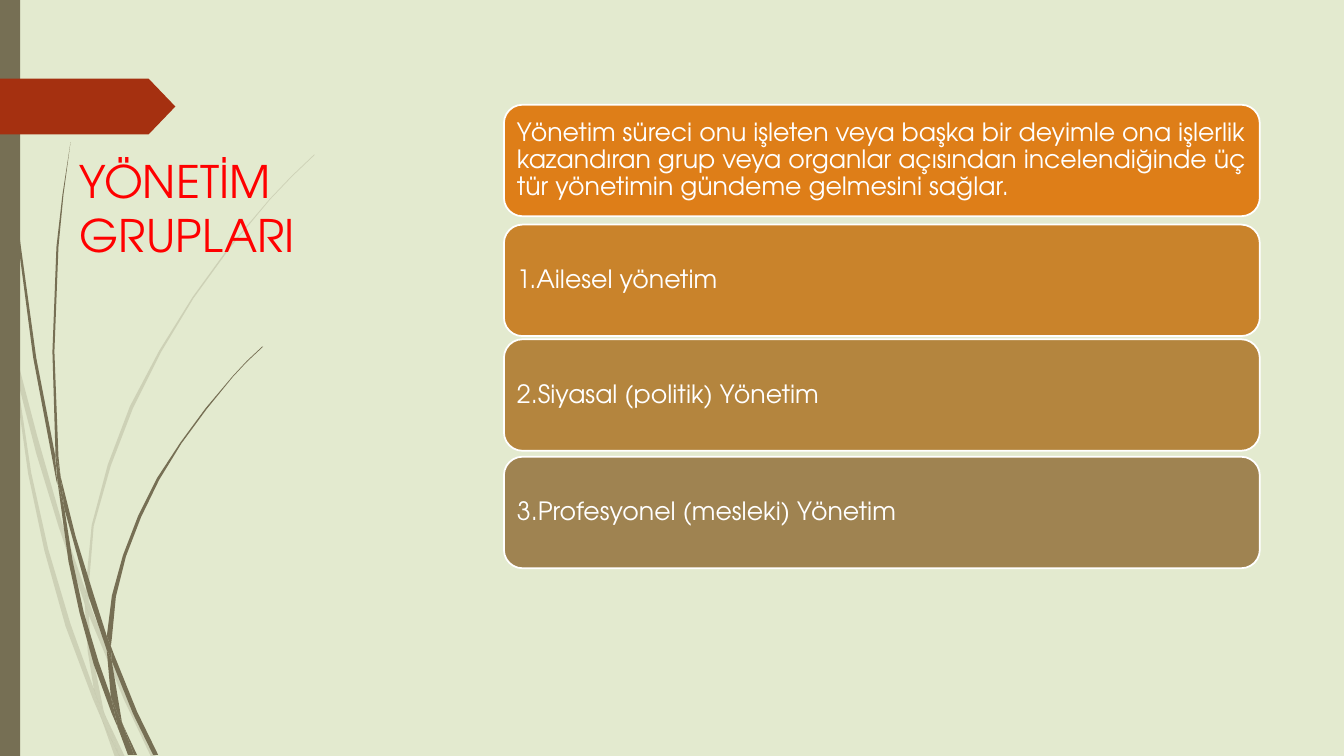
"""Build the slide on management groups: a heading, four cards and a grass motif."""
from lxml.etree import SubElement
from pptx import Presentation
from pptx.dml.color import RGBColor
from pptx.enum.shapes import MSO_SHAPE as Shape
from pptx.enum.text import MSO_ANCHOR as Anchor, PP_ALIGN as Align
from pptx.oxml.ns import qn
from pptx.util import Cm, Pt

FONT = "TeX Gyre Adventor"
OLIVE = "766F54"
WHITE = "FFFFFF"
GRASS_UNIT = Cm(0.0254)


def paint(target, color):
    """Give a fill, or the fill of a font, one solid colour."""
    target.solid()
    target.fore_color.rgb = RGBColor.from_string(color)


presentation = Presentation()
presentation.slide_width = Cm(33.87)
presentation.slide_height = Cm(19.05)
slide = presentation.slides.add_slide(presentation.slide_layouts[5])
paint(slide.background.fill, "E3EACF")

faint_blades = [
    [(11, 350), (9, 322), (0, 282), (0, 299), (10, 344)],
    [(58, 522), (84, 599), (85, 586), (62, 520), (37, 433), (14, 345), (17, 376), (36, 450)],
    [(92, 607), (88, 596), (88, 610), (123, 694), (150, 751), (155, 751), (127, 692)],
    [(119, 751), (124, 751), (105, 711)],
    [(93, 683), (70, 619), (48, 545), (31, 469), (17, 376), (11, 350), (28, 470), (44, 546),
     (65, 621), (92, 693), (101, 714), (99, 707)],
    [(84, 599), (87, 646), (93, 683), (96, 692), (105, 711), (103, 706), (91, 646), (88, 610),
     (88, 608)],
    [(88, 584), (93, 522), (110, 462), (132, 405), (160, 349), (192, 296), (229, 245), (268, 198),
     (290, 175), (312, 154), (312, 153), (289, 175), (268, 197), (228, 244), (191, 295),
     (158, 348), (129, 403), (107, 461), (91, 521), (85, 584), (85, 586), (88, 596)],
    [(101, 714), (114, 751), (119, 751)],
    [(88, 608), (88, 610), (88, 596), (85, 586), (84, 599)],
    [(96, 692), (93, 683), (99, 707), (101, 714), (119, 751), (105, 711)],
]
strong_blades = [
    [(7, 110), (17, 233), (33, 355), (56, 477), (57, 481), (55, 457), (55, 453), (36, 355),
     (19, 232), (8, 109), (5, 48), (4, 0), (3, 0), (4, 48)],
    [(88, 592), (106, 645), (106, 633), (106, 631), (93, 590), (75, 532), (60, 472), (64, 505)],
    [(113, 649), (110, 641), (111, 656), (132, 708), (152, 749), (157, 749), (136, 706)],
    [(110, 691), (98, 657), (83, 607), (72, 556), (64, 505), (57, 477), (68, 557), (79, 608),
     (93, 659), (111, 708), (117, 722), (116, 717)],
    [(60, 472), (58, 453), (54, 349), (58, 245), (63, 193), (70, 141), (62, 193), (56, 245),
     (52, 349), (55, 449)],
    [(133, 749), (136, 749), (122, 719)],
    [(57, 477), (64, 505), (60, 472), (55, 449), (55, 453)],
    [(111, 633), (115, 592), (125, 552), (140, 513), (158, 476), (180, 440), (205, 406),
     (231, 374), (245, 359), (261, 344), (260, 344), (245, 358), (231, 373), (204, 405),
     (179, 439), (156, 474), (137, 512), (122, 551), (111, 591), (106, 631), (110, 641)],
    [(117, 722), (127, 749), (131, 749)],
    [(106, 645), (110, 691), (116, 706), (122, 719), (121, 716), (111, 656), (109, 651)],
    [(106, 645), (109, 651), (111, 656), (110, 641), (106, 631), (106, 633)],
    [(116, 706), (110, 691), (116, 717), (117, 722), (130, 749), (133, 749), (122, 719)],
]
for blades, opacity in ((faint_blades, 20), (strong_blades, 100)):
    for outline in blades:
        builder = slide.shapes.build_freeform(*outline[0], scale=GRASS_UNIT)
        builder.add_line_segments(outline[1:], close=True)
        blade = builder.convert_to_shape()
        blade.shadow.inherit = False
        blade.line.fill.background()
        paint(blade.fill, OLIVE)
        if opacity < 100:
            color_element = blade.element.spPr.find(qn("a:solidFill"))[0]
            SubElement(color_element, qn("a:alpha"), val=str(opacity * 1000))

side_bar = slide.shapes.add_shape(Shape.RECTANGLE, 0, 0, Cm(0.51), Cm(19.05))
arrow_tab = slide.shapes.add_shape(Shape.PENTAGON, 0, Cm(1.98), Cm(4.42), Cm(1.41))
arrow_tab.adjustments[0] = 0.48
for shape, color in ((side_bar, OLIVE), (arrow_tab, "A53010")):
    shape.shadow.inherit = False
    paint(shape.fill, color)
    shape.line.fill.background()

title = slide.shapes.title
title.element.getparent().append(title.element)
title.left, title.top, title.width, title.height = Cm(1.75), Cm(3.75), Cm(10), Cm(6.35)
title.text_frame.text = "YÖNETİM GRUPLARI"
title.text_frame.word_wrap = True
title.text_frame.vertical_anchor = Anchor.TOP
heading = title.text_frame.paragraphs[0]
heading.alignment = Align.LEFT
heading.font.name = FONT
heading.font.size = Pt(32)
paint(heading.font.fill, "FF0000")

cards = [
    (2.64, "DE7E18", "Yönetim süreci onu işleten veya başka bir deyimle ona işlerlik kazandıran "
                     "grup veya organlar açısından incelendiğinde üç tür yönetimin gündeme "
                     "gelmesini sağlar."),
    (5.66, "C9832B", "1.Ailesel yönetim"),
    (8.55, "B4853E", "2.Siyasal (politik) Yönetim"),
    (11.51, "9F8351", "3.Profesyonel (mesleki) Yönetim"),
]
for top, color, text in cards:
    card = slide.shapes.add_shape(Shape.ROUNDED_RECTANGLE, Cm(12.7), Cm(top), Cm(19.05), Cm(2.81))
    card.shadow.inherit = False
    paint(card.fill, color)
    paint(card.line.fill, WHITE)
    card.line.width = Pt(1.25)
    frame = card.text_frame
    frame.text = text
    frame.word_wrap = True
    frame.vertical_anchor = Anchor.MIDDLE
    frame.margin_left = frame.margin_right = Cm(0.19)
    frame.margin_top = frame.margin_bottom = Cm(0.19)
    paragraph = frame.paragraphs[0]
    paragraph.alignment = Align.LEFT
    paragraph.line_spacing = 0.9
    paragraph.font.name = FONT
    paragraph.font.size = Pt(18)
    paint(paragraph.font.fill, WHITE)

presentation.save("out.pptx")
